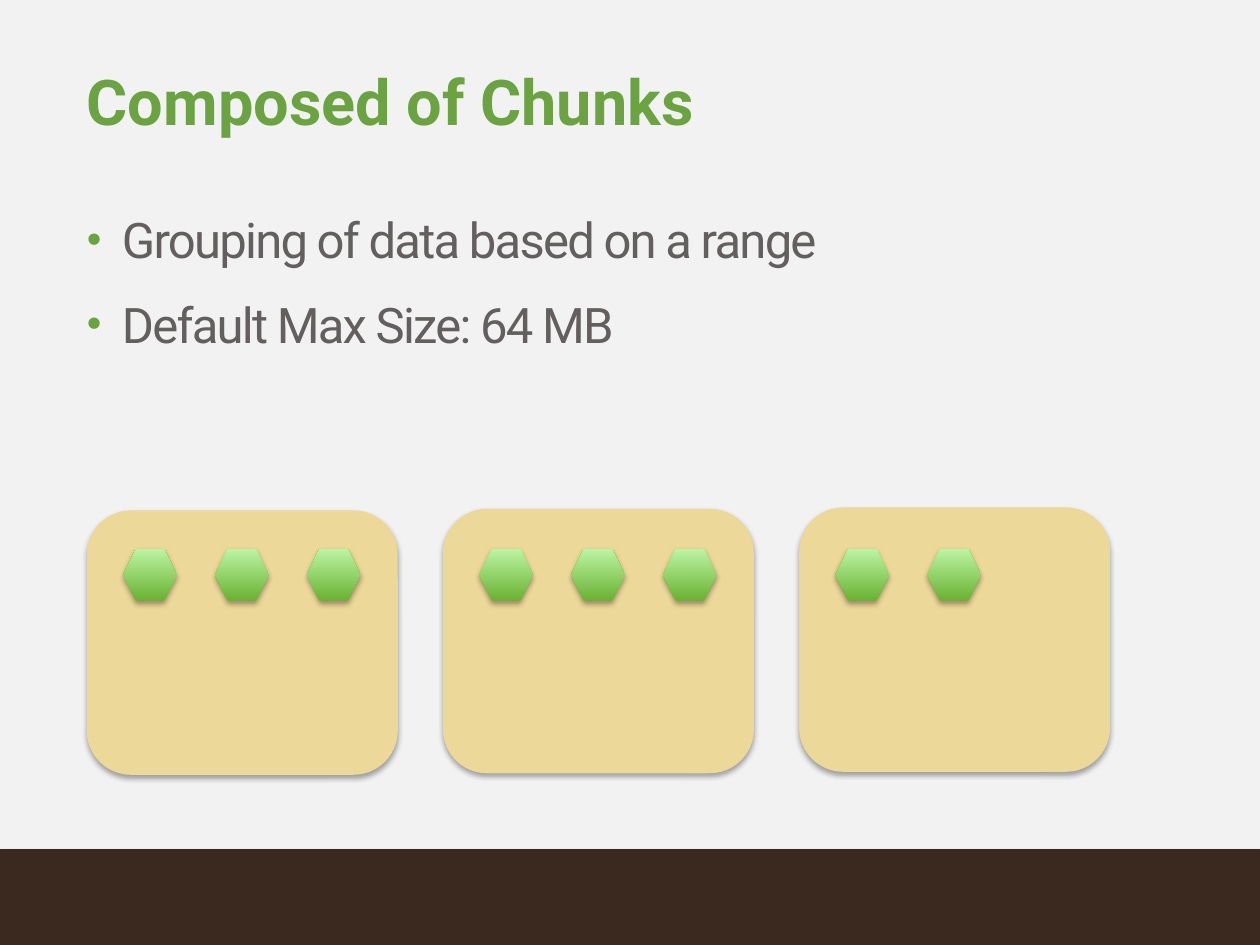
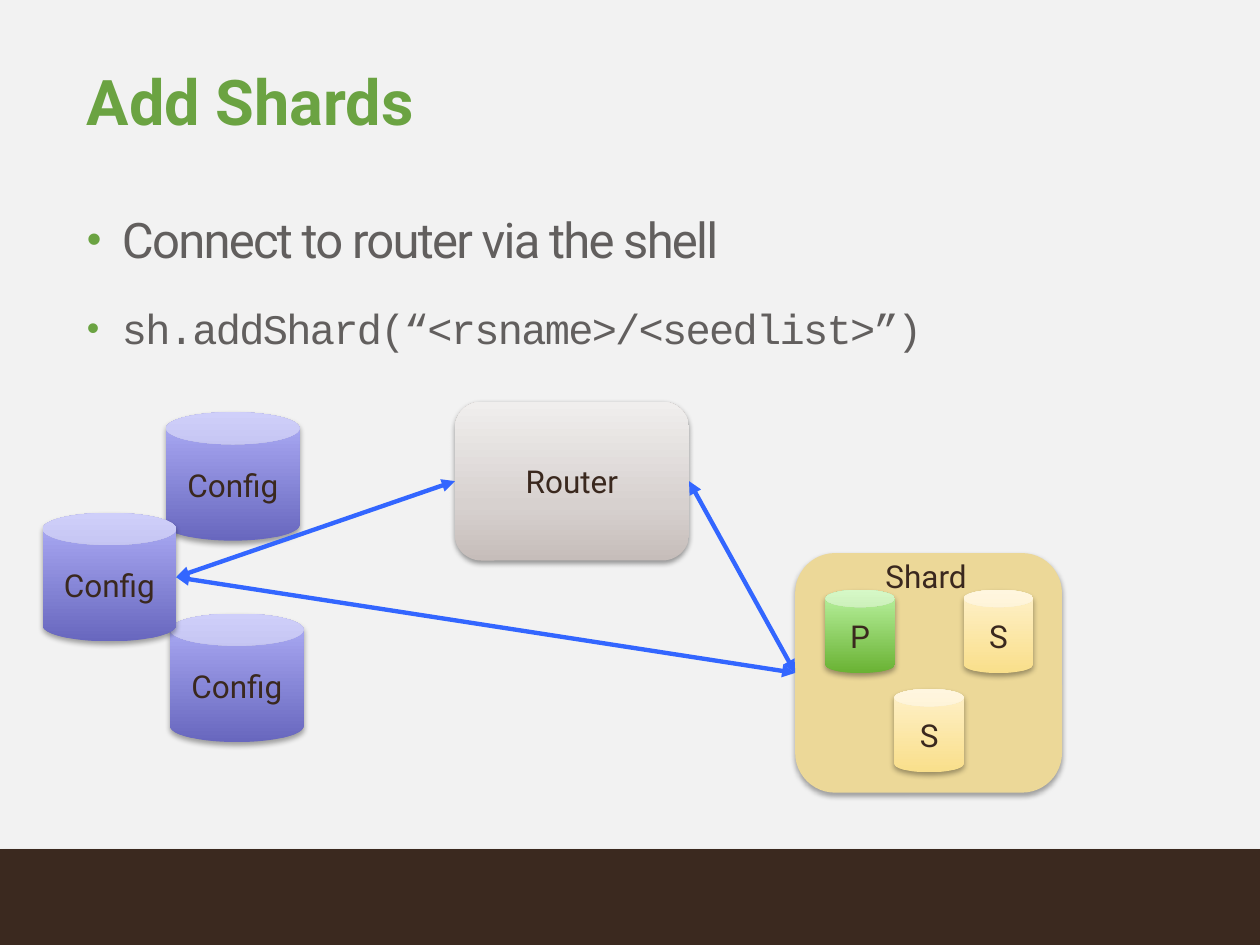
"""Build two slides on sharding: chunks in shards, and adding a shard to a cluster."""
from dataclasses import dataclass

import pptx
import pptx.dml.color
import pptx.enum.shapes
import pptx.enum.text
import pptx.oxml
import pptx.oxml.ns
import pptx.util

Cm = pptx.util.Cm
Pt = pptx.util.Pt
Geometry = pptx.enum.shapes.MSO_SHAPE
Align = pptx.enum.text.PP_ALIGN
Anchor = pptx.enum.text.MSO_ANCHOR

COLORS = {
    "background": "F2F2F2",
    "band": "3B291F",
    "accent": "6BA342",
    "body": "625F5E",
    "label": "3A281E",
    "shard": "ECD898",
    "link": "3366FF",
}
GREEN = ((0, "69B233"), (100, "BCF4A3"))
YELLOW = ((0, "F9DF8B"), (100, "FFF1CA"))
VIOLET = ((0, "6867BE"), (100, "AFAFF8"))
GREY = ((0, "C6BDBA"), (35, "D7D1CF"), (100, "F0EEED"))
SANS = "Roboto"
MONO = "Courier New"
MARGIN = 1.75
CONTENT_WIDTH = 21.95


@dataclass(frozen=True)
class Box:
    left: float
    top: float
    width: float
    height: float

    def emu(self) -> list:
        return [Cm(v) for v in (self.left, self.top, self.width, self.height)]

    def left_end(self) -> tuple:
        return self.left, self.top + self.height / 2

    def right_end(self) -> tuple:
        return self.left + self.width, self.top + self.height / 2


@dataclass(frozen=True)
class Node:
    box: Box
    geometry: int
    fill: object
    label: str = ""
    shadow_alpha: int = 35
    shadow_distance: int = 23000


@dataclass(frozen=True)
class Bullet:
    text: str
    font: str = SANS
    size: int = 28


def rgb(name: str) -> pptx.dml.color.RGBColor:
    return pptx.dml.color.RGBColor.from_string(COLORS[name])


def append_xml(parent, tag: str, attributes: str = "", content: str = "") -> None:
    namespace = pptx.oxml.ns.nsdecls("a")
    parent.append(pptx.oxml.parse_xml(
        f"<a:{tag} {namespace} {attributes}>{content}</a:{tag}>"))


def write(frame, text: str, *, size: int = 18, font: str = SANS, color: str = "label",
          bold: bool = False, align=Align.LEFT, line_spacing=None,
          tracking: int = 0, bulleted: bool = False) -> None:
    first = frame.paragraphs[0]
    paragraph = frame.add_paragraph() if first.runs else first
    paragraph.alignment = align
    if line_spacing:
        paragraph.line_spacing = line_spacing
    run = paragraph.add_run()
    run.text = text
    run.font.size = Pt(size)
    run.font.name = font
    run.font.bold = bold
    run.font.color.rgb = rgb(color)
    if tracking:
        run.font._element.set("spc", str(tracking))
    if bulleted:
        paragraph.space_before = Pt(12.7)
        properties = paragraph._p.get_or_add_pPr()
        properties.set("marL", str(Cm(0.71)))
        properties.set("indent", str(-Cm(0.71)))
        append_xml(properties, "buClr", content=f'<a:srgbClr val="{COLORS["accent"]}"/>')
        append_xml(properties, "buSzPct", 'val="85000"')
        append_xml(properties, "buFont", 'typeface="Arial"')
        append_xml(properties, "buChar", 'char="•"')


def add_frame(slide, box: Box, *, inset: bool = False, anchor=Anchor.TOP):
    frame = slide.shapes.add_textbox(*box.emu()).text_frame
    frame.word_wrap = True
    frame.vertical_anchor = anchor
    if not inset:
        frame.margin_left = frame.margin_right = frame.margin_top = frame.margin_bottom = 0
    return frame


def draw_node(slide, node: Node) -> None:
    shape = slide.shapes.add_shape(node.geometry, *node.box.emu())
    shape.line.fill.background()
    properties = shape._element.spPr
    if isinstance(node.fill, str):
        shape.fill.solid()
        shape.fill.fore_color.rgb = rgb(node.fill)
    else:
        shape.fill.gradient()
        shape.fill.gradient_angle = 90
        stops = properties.find(".//" + pptx.oxml.ns.qn("a:gsLst"))
        for stop in list(stops):
            stops.remove(stop)
        for position, color in node.fill:
            append_xml(stops, "gs", f'pos="{position * 1000}"', f'<a:srgbClr val="{color}"/>')
    shape.shadow.inherit = False
    append_xml(
        properties.find(pptx.oxml.ns.qn("a:effectLst")), "outerShdw",
        f'blurRad="40000" dist="{node.shadow_distance}" dir="5400000" rotWithShape="0"',
        f'<a:srgbClr val="000000"><a:alpha val="{node.shadow_alpha * 1000}"/></a:srgbClr>')
    if node.label:
        write(shape.text_frame, node.label, align=Align.CENTER)


def draw_link(slide, start: tuple, end: tuple) -> None:
    link = slide.shapes.add_connector(
        pptx.enum.shapes.MSO_CONNECTOR.STRAIGHT, *[Cm(v) for v in (*start, *end)])
    link.line.color.rgb = rgb("link")
    link.line.width = Pt(2.5)
    outline = link.line._get_or_add_ln()
    for arrow_end in ("headEnd", "tailEnd"):
        append_xml(outline, arrow_end, 'type="triangle"')
    append_xml(link._element.spPr, "effectLst")


def add_slide(deck, title: str, bullets: list):
    slide = deck.slides.add_slide(deck.slide_layouts[6])
    slide.background.fill.solid()
    slide.background.fill.fore_color.rgb = rgb("background")
    draw_node(slide, Node(Box(0, 17.12, 25.4, 1.93), Geometry.RECTANGLE, "band"))
    heading = add_frame(slide, Box(MARGIN, 0.94, CONTENT_WIDTH, 2.36), anchor=Anchor.MIDDLE)
    write(heading, title, size=36, color="accent", bold=True, line_spacing=0.9)
    body = add_frame(slide, Box(MARGIN, 4.17, CONTENT_WIDTH, 12.14))
    for bullet in bullets:
        write(body, bullet.text, size=bullet.size, font=bullet.font, color="body",
              line_spacing=Pt(35.4), tracking=-100, bulleted=True)
    return slide


def build_chunks(deck) -> None:
    slide = add_slide(deck, "Composed of Chunks", [
        Bullet("Grouping of data based on a range"),
        Bullet("Default Max Size: 64 MB"),
    ])
    for index, chunk_count in enumerate((3, 3, 2)):
        shard = Box(MARGIN + index * 7.18, 10.29 - index * 0.03, 6.27, 5.33)
        draw_node(slide, Node(shard, Geometry.ROUNDED_RECTANGLE, "shard"))
        for position in range(chunk_count):
            chunk = Box(shard.left + 0.73 + position * 1.85, 11.07, 1.09, 1.04)
            draw_node(slide, Node(chunk, Geometry.HEXAGON, GREEN))


def build_cluster(deck) -> None:
    slide = add_slide(deck, "Add Shards", [
        Bullet("Connect to router via the shell"),
        Bullet("sh.addShard(“<rsname>/<seedlist>”)", MONO, 24),
    ])
    shard = Box(16.03, 11.15, 5.38, 4.83)
    draw_node(slide, Node(shard, Geometry.ROUNDED_RECTANGLE, "shard"))
    members = (("P", 16.64, 11.89, GREEN), ("S", 19.43, 11.89, YELLOW),
               ("S", 18.03, 13.89, YELLOW))
    for role, left, top, fill in members:
        draw_node(slide, Node(Box(left, top, 1.4, 1.68), Geometry.CAN, fill, role))
    write(add_frame(slide, Box(17.6, 11.1, 2.26, 0.94), inset=True), "Shard")

    router = Box(9.17, 8.1, 4.72, 3.2)
    draw_node(slide, Node(router, Geometry.ROUNDED_RECTANGLE, GREY, "Router", 38, 20000))
    configs = [Box(left, top, 2.69, 2.59)
               for left, top in ((3.35, 8.31), (3.43, 12.37), (0.86, 10.34))]
    for config in configs:
        draw_node(slide, Node(config, Geometry.CAN, VIOLET, "Config"))

    front_config = configs[-1].right_end()
    draw_link(slide, router.left_end(), front_config)
    draw_link(slide, shard.left_end(), front_config)
    draw_link(slide, router.right_end(), shard.left_end())


def main() -> None:
    deck = pptx.Presentation()
    deck.slide_width = Cm(25.4)
    deck.slide_height = Cm(19.05)
    build_chunks(deck)
    build_cluster(deck)
    deck.save("out.pptx")


if __name__ == "__main__":
    main()
